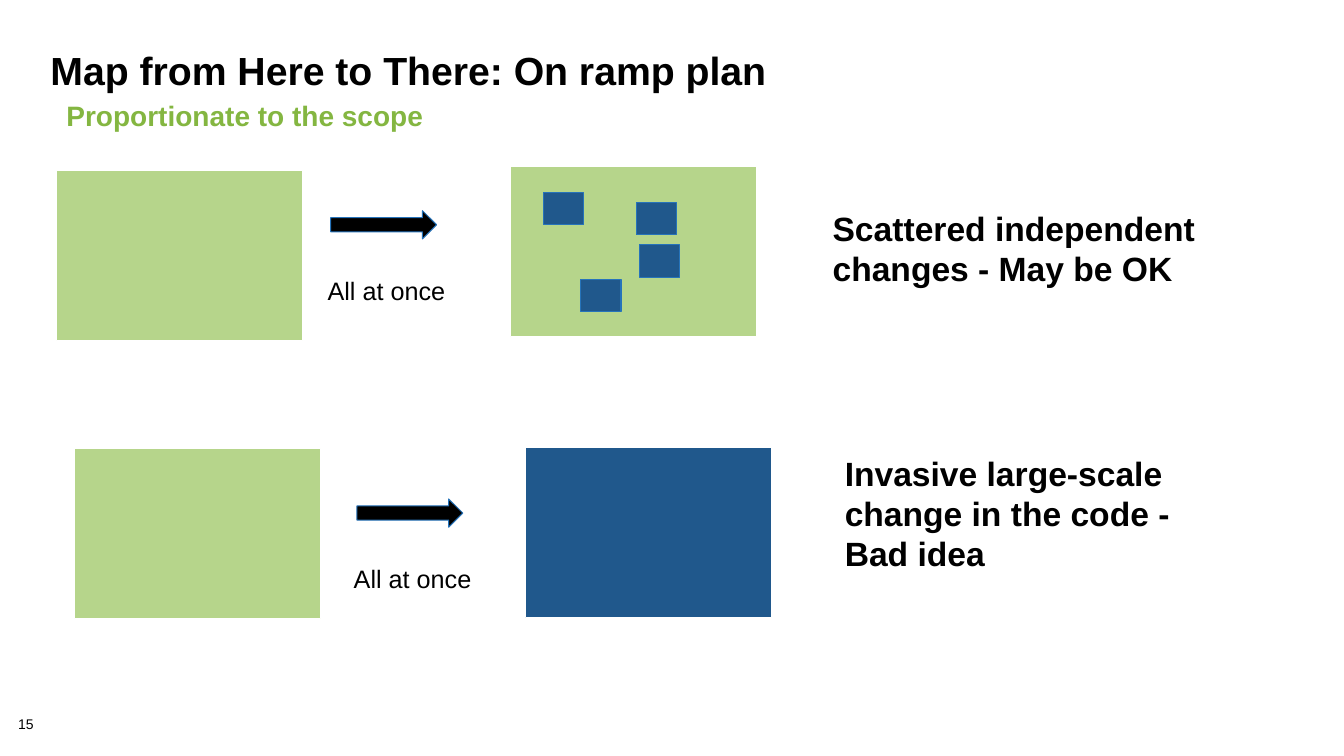
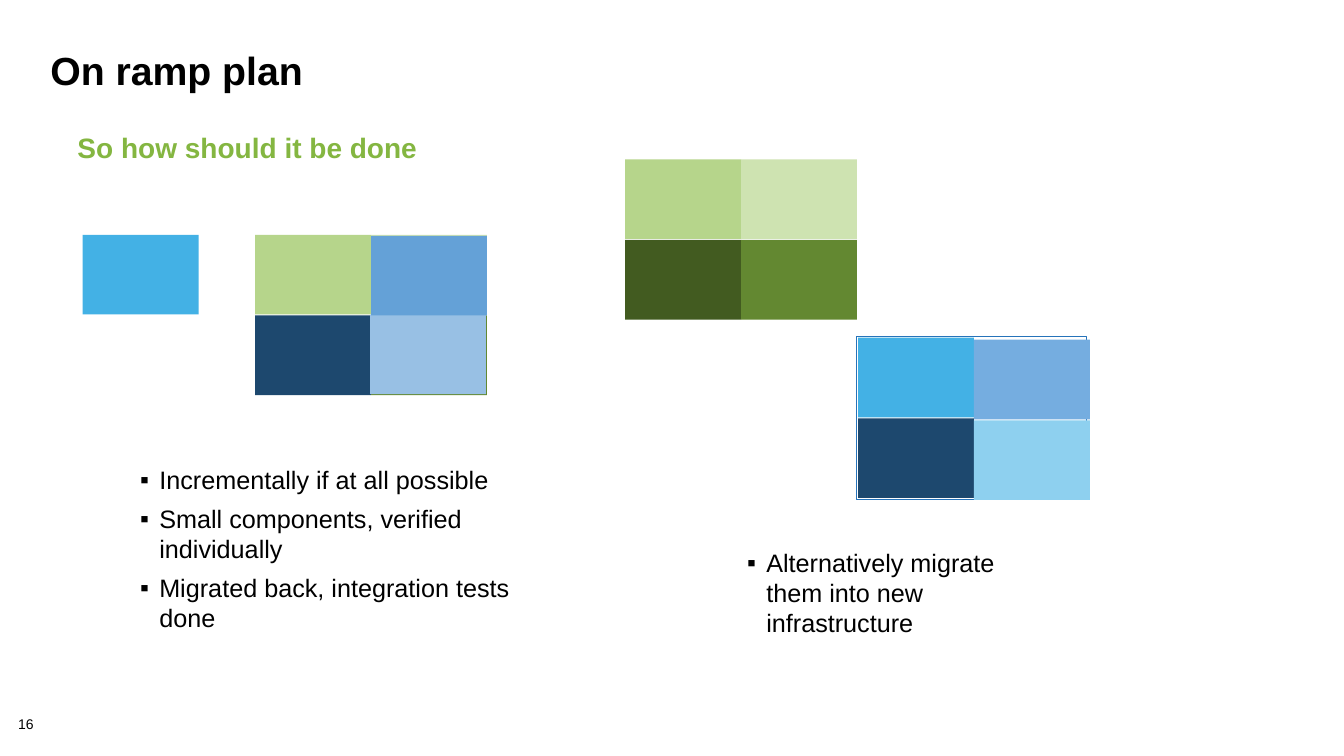
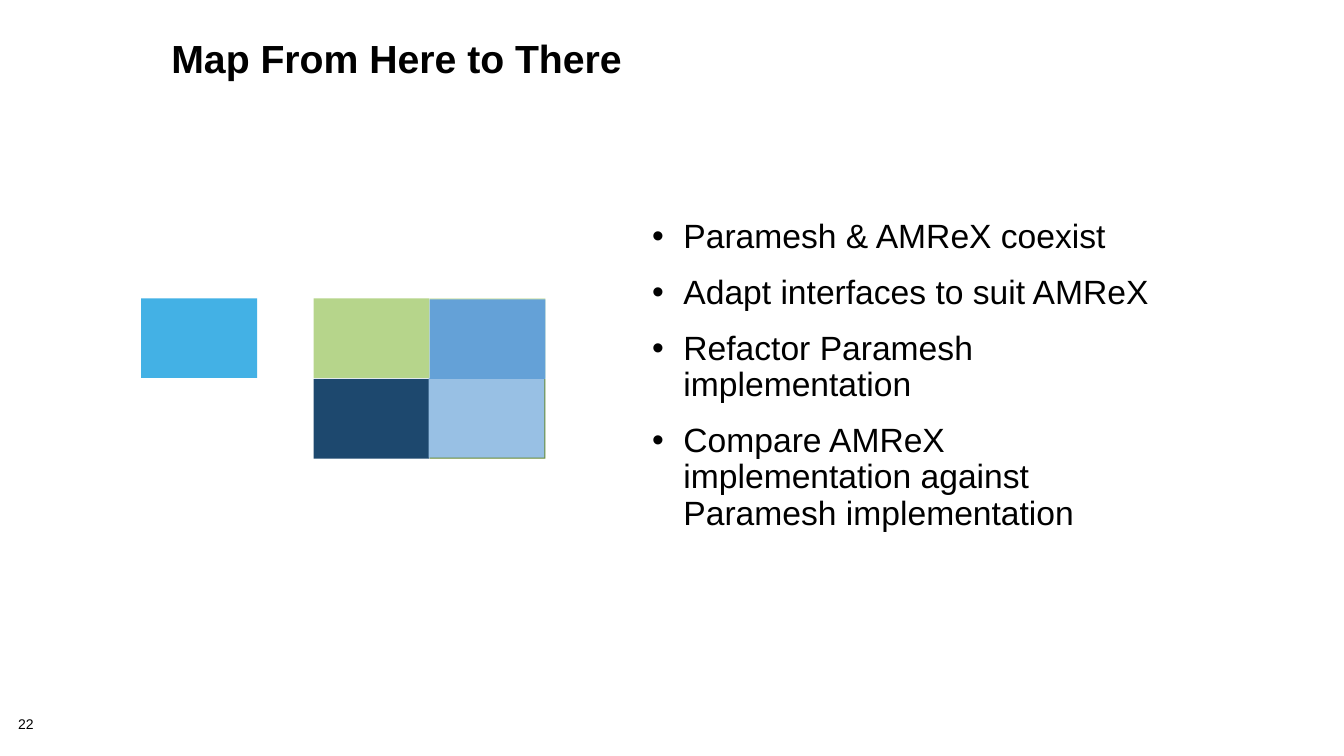
from lxml import etree
from pptx import Presentation
from pptx.dml.color import RGBColor
from pptx.enum.shapes import MSO_SHAPE
from pptx.enum.text import MSO_ANCHOR, PP_ALIGN
from pptx.oxml.ns import qn
from pptx.util import Emu, Pt

RECTANGLE = MSO_SHAPE.RECTANGLE
RIGHT_ARROW = MSO_SHAPE.RIGHT_ARROW
MIDDLE = MSO_ANCHOR.MIDDLE
LEFT = PP_ALIGN.LEFT

EMU_PER_PX = 9144
FONT = "Arial"
TITLE_ONLY = 5
TILE_W, TILE_H = 115, 79
ROW_STEP = 80
BLOCK_W, BLOCK_H = 244, 169
TEXT_INSETS = (10, 5, 10, 5)
BULLET_INSETS = (0, 0, 0, 5)
CHANGE_OFFSETS = [(33, 26), (70, 112), (128, 78), (125, 36)]

COLORS = {
    "black": "000000",
    "white": "FFFFFF",
    "heading": "84B641",
    "green": "B6D58B",
    "pale_green": "CEE3B1",
    "olive": "638831",
    "dark_olive": "425B20",
    "deep_blue": "20588C",
    "outline": "2673BA",
    "navy": "1D486E",
    "sky": "43B1E5",
    "pale_sky": "8ED0EF",
    "mid_blue": "64A1D7",
    "soft_blue": "75ADE0",
    "light_blue": "98C0E4",
}


def px(length):
    return Emu(length * EMU_PER_PX)


def color(name):
    return RGBColor.from_string(COLORS[name])


def style_text(frame, size, bold=False, tint="black", spacing=None):
    for para in frame.paragraphs:
        para.alignment = LEFT
        if spacing:
            para.line_spacing = spacing
        for span in para.runs:
            span.font.name = FONT
            span.font.size = Pt(size)
            span.font.bold = bold
            span.font.color.rgb = color(tint)


def set_insets(frame, insets):
    frame.margin_left, frame.margin_top, frame.margin_right, frame.margin_bottom = map(px, insets)


def add_text(page, box, text, size, insets=TEXT_INSETS, wrap=True, **style):
    frame = page.shapes.add_textbox(*map(px, box)).text_frame
    frame.word_wrap = wrap
    set_insets(frame, insets)
    frame.text = text
    style_text(frame, size, **style)
    return frame


def add_bullets(page, box, items, size, mark, indent, gap, insets, spacing=None):
    frame = add_text(page, box, "\n".join(items), size, insets, spacing=spacing)
    for index, para in enumerate(frame.paragraphs):
        if index:
            para.space_before = Pt(gap)
        props = para._p.get_or_add_pPr()
        props.set("marL", str(px(indent)))
        props.set("indent", str(-px(indent)))
        bullet_font = etree.SubElement(props, qn("a:buFont"))
        bullet_font.set("typeface", FONT)
        bullet = etree.SubElement(props, qn("a:buChar"))
        bullet.set("char", mark)


def add_block(page, box, fill, line=None, kind=RECTANGLE):
    block = page.shapes.add_shape(kind, *map(px, box))
    block.shadow.inherit = False
    block.fill.solid()
    block.fill.fore_color.rgb = color(fill)
    if line:
        block.line.color.rgb = color(line)
        block.line.width = Pt(0.75)
    else:
        block.line.fill.background()


def add_tile(page, left, top, fill):
    add_block(page, (left, top, TILE_W, TILE_H), fill)


def add_page(deck, title, title_box, number):
    page = deck.slides.add_slide(deck.slide_layouts[TITLE_ONLY])
    holder = page.shapes.title
    holder.left, holder.top, holder.width, holder.height = map(px, title_box)
    frame = holder.text_frame
    frame.word_wrap = True
    frame.vertical_anchor = MIDDLE
    set_insets(frame, TEXT_INSETS)
    frame.text = title
    style_text(frame, 28, bold=True, spacing=0.85)
    add_text(page, (18, 712, 56, 16), number, 10, (0, 0, 0, 0), spacing=0.9)
    return page


def add_subtitle(page, left, top, text):
    add_text(page, (left, top, 1221, 55), text, 20, (10, 5, 10, 0),
             bold=True, tint="heading", spacing=0.9)


def add_transition(page, left, top, arrow, target, target_fill, caption, caption_box, changes=()):
    add_block(page, (left, top, BLOCK_W, BLOCK_H), "green", "white")
    arrow_left, arrow_top = left + arrow[0], top + arrow[1]
    add_block(page, (arrow_left, arrow_top, 105, 28), "black", "outline", RIGHT_ARROW)
    add_text(page, (arrow_left - 13, arrow_top + 59, 169, 43), "All at once", 18, wrap=False)
    target_left, target_top = left + target[0], top + target[1]
    add_block(page, (target_left, target_top, BLOCK_W, BLOCK_H), target_fill, "white")
    for across, down in changes:
        add_block(page, (target_left + across, target_top + down, 40, 32), "deep_blue", "outline")
    across, down, width, height = caption_box
    add_text(page, (left + across, top + down, width, height), caption, 24, bold=True)


def add_tile_grid(page, left, top, fills, column_drop=0):
    for index, fill in enumerate(fills):
        row, column = divmod(index, 2)
        add_tile(page, left + column * TILE_W, top + row * ROW_STEP + column * column_drop, fill)


def add_incremental_tiles(page, left, top):
    grid_left = left + 171
    add_tile(page, left, top, "sky")
    add_tile_grid(page, grid_left, top, ["green", "pale_green", "navy", "olive"])
    add_tile(page, grid_left + TILE_W - 1, top + ROW_STEP - 1, "light_blue")
    add_tile(page, grid_left + TILE_W, top + 1, "mid_blue")


def build_scope_page(deck):
    page = add_page(deck, "Map from Here to There: On ramp plan", (40, 45, 1244, 56), "15")
    add_subtitle(page, 56, 97, "Proportionate to the scope")
    add_transition(page, 56, 169, (272, 40), (450, -4), "green",
                   "Scattered independent changes - May be OK", (760, 32, 406, 91), CHANGE_OFFSETS)
    add_transition(page, 74, 445, (280, 50), (447, -1), "deep_blue",
                   "Invasive large-scale change in the code - Bad idea", (754, -1, 375, 131))


def build_ramp_page(deck):
    page = add_page(deck, "On ramp plan", (40, 45, 1244, 56), "16")
    add_subtitle(page, 67, 128, "So how should it be done")
    add_incremental_tiles(page, 82, 233)
    add_tile_grid(page, 620, 158, ["green", "pale_green", "dark_olive", "olive"])
    add_block(page, (849, 334, 229, 162), "white", "outline")
    add_tile_grid(page, 851, 335, ["sky", "soft_blue", "navy", "pale_sky"], column_drop=2)
    steps = ["Incrementally if at all possible",
             "Small components, verified individually",
             "Migrated back, integration tests done"]
    add_bullets(page, (139, 461, 374, 161), steps, 18, "▪", 19, 6, BULLET_INSETS)
    add_bullets(page, (741, 543, 275, 177),
                ["Alternatively migrate them into new infrastructure"],
                18, "▪", 19, 6, BULLET_INSETS)


def build_map_page(deck):
    page = add_page(deck, "Map From Here to There", (160, 33, 933, 56), "22")
    add_incremental_tiles(page, 140, 296)
    steps = ["Paramesh & AMReX coexist",
             "Adapt interfaces to suit AMReX",
             "Refactor Paramesh implementation",
             "Compare AMReX implementation against Paramesh implementation"]
    add_bullets(page, (637, 213, 542, 326), steps, 24, "•", 31, 14, TEXT_INSETS, spacing=0.9)


def main():
    deck = Presentation()
    deck.slide_width, deck.slide_height = px(1333), px(750)
    build_scope_page(deck)
    build_ramp_page(deck)
    build_map_page(deck)
    deck.save("out.pptx")


if __name__ == "__main__":
    main()
